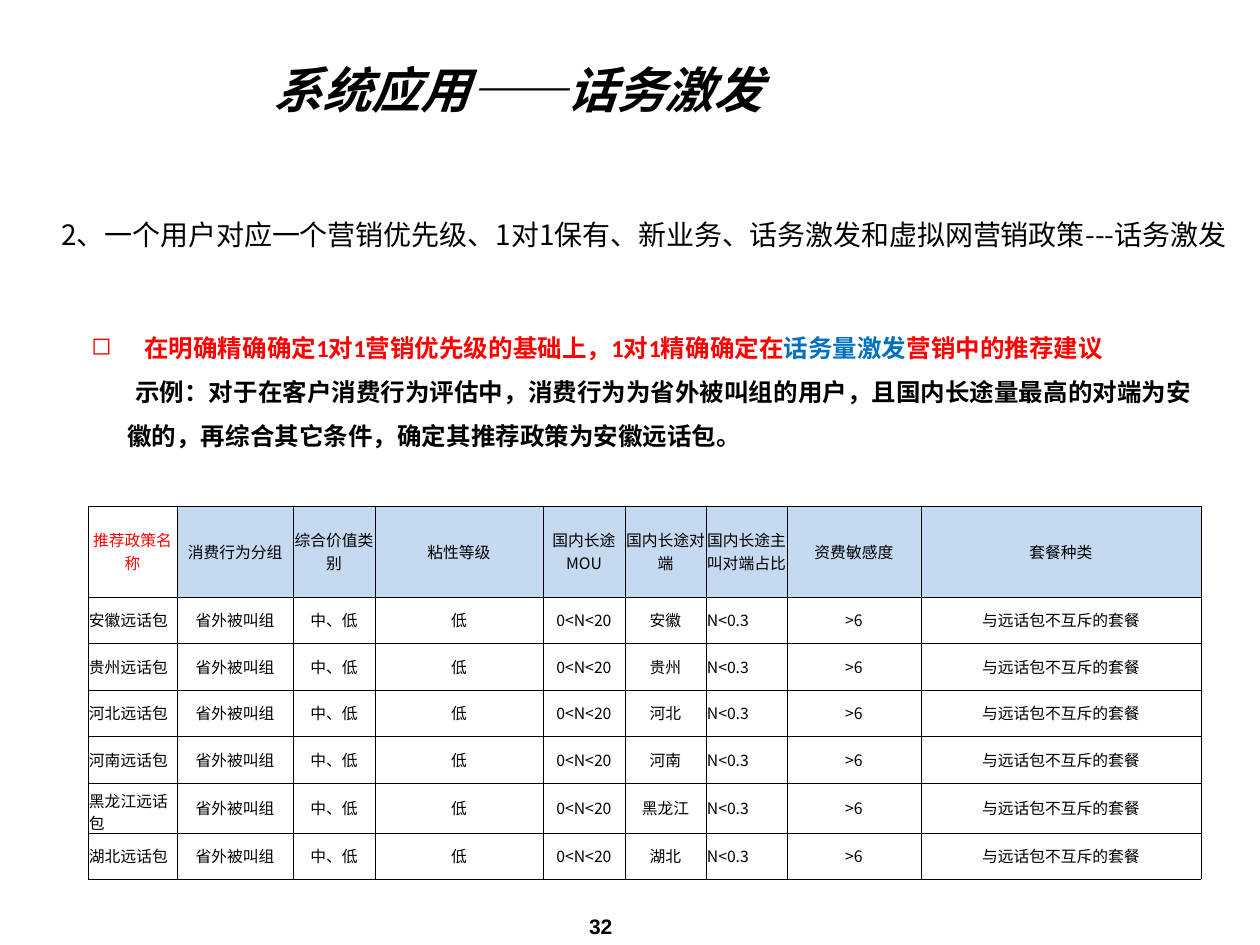
from dataclasses import dataclass

from lxml.etree import SubElement
from pptx import Presentation
from pptx.dml.color import RGBColor
from pptx.enum.text import MSO_ANCHOR as Anchor, MSO_AUTO_SIZE as AutoSize, PP_ALIGN as Align
from pptx.oxml.ns import qn
from pptx.util import Pt

PX = 914400 / 126
CJK_FONT = "Noto Sans CJK SC"
BLACK, RED, BLUE, HEADER_FILL = "000000", "FF0000", "0070C0", "C5D9F1"

COLUMN_WIDTHS = [89, 116, 82, 168, 82, 81, 81, 134, 280]
ROW_HEIGHTS = [91, 46, 47, 46, 47, 46, 46]
LEFT_ALIGNED_COLUMNS = (0, 6)
HEADERS = ["推荐政策名称", "消费行为分组", "综合价值类别", "粘性等级", "国内长途MOU",
           "国内长途对端", "国内长途主叫对端占比", "资费敏感度", "套餐种类"]
PROVINCES = ["安徽", "贵州", "河北", "河南", "黑龙江", "湖北"]


@dataclass
class Box:
    left: int
    top: int
    width: int
    height: int

    def emu(self) -> list[int]:
        return [px(side) for side in (self.left, self.top, self.width, self.height)]


@dataclass
class Style:
    size: float
    font: str = CJK_FONT
    bold: bool = False
    italic: bool = False


@dataclass
class Piece:
    text: str
    color: str = BLACK


def px(length: int) -> int:
    return round(length * PX)


def rgb(value: str) -> RGBColor:
    return RGBColor.from_string(value)


def format_run(run, style: Style, color: str = BLACK) -> None:
    font = run.font
    font.size, font.bold, font.italic = Pt(style.size), style.bold, style.italic
    font.color.rgb = rgb(color)
    font.name = style.font
    SubElement(font._element, qn("a:ea"), typeface=CJK_FONT)


def add_pieces(paragraph, pieces: list[Piece], style: Style) -> None:
    for piece in pieces:
        run = paragraph.add_run()
        run.text = piece.text
        format_run(run, style, piece.color)


def set_indent(paragraph, margin: int, first_line: int) -> None:
    properties = paragraph._p.get_or_add_pPr()
    properties.set("marL", str(px(margin)))
    properties.set("indent", str(px(first_line)))


def add_bullet(paragraph, character: str, color: str) -> None:
    properties = paragraph._p.get_or_add_pPr()
    bullet_color = SubElement(properties, qn("a:buClr"))
    SubElement(bullet_color, qn("a:srgbClr"), val=color)
    SubElement(properties, qn("a:buChar"), char=character)


def add_text_box(slide, box: Box):
    frame = slide.shapes.add_textbox(*box.emu()).text_frame
    frame.word_wrap = True
    return frame


def add_title(slide) -> None:
    title = slide.shapes.title
    title.left, title.top, title.width, title.height = Box(261, 49, 999, 80).emu()
    frame = title.text_frame
    frame.auto_size = AutoSize.NONE
    frame.vertical_anchor = Anchor.MIDDLE
    paragraph = frame.paragraphs[0]
    paragraph.alignment = Align.LEFT
    add_pieces(paragraph, [Piece("系统应用——话务激发")], Style(28, bold=True, italic=True))


def add_heading(slide) -> None:
    paragraph = add_text_box(slide, Box(49, 211, 1211, 80)).paragraphs[0]
    set_indent(paragraph, 37, -37)
    paragraph.line_spacing = Pt(19.6)
    text = "2、一个用户对应一个营销优先级、1对1保有、新业务、话务激发和虚拟网营销政策---话务激发"
    add_pieces(paragraph, [Piece(text)], Style(16))


def add_recommendation(slide) -> None:
    frame = add_text_box(slide, Box(79, 312, 1132, 189))
    style = Style(14, font="Calibri", bold=True)
    advice, example = frame.paragraphs[0], frame.add_paragraph()
    for paragraph in (advice, example):
        paragraph.line_spacing = Pt(25.2)

    set_indent(advice, 53, -53)
    add_bullet(advice, "◻", RED)
    add_pieces(advice, [Piece("在明确精确确定1对1营销优先级的基础上，1对1精确确定在", RED),
                        Piece("话务量激发", BLUE),
                        Piece("营销中的推荐建议", RED)], style)

    set_indent(example, 36, 8)
    add_pieces(example, [Piece("示例：对于在客户消费行为评估中，消费行为为省外被叫组的用户，且国内长途量最高的"
                               "对端为安徽的，再综合其它条件，确定其推荐政策为安徽远话包。")], style)


def add_borders(cell) -> None:
    properties = cell._tc.get_or_add_tcPr()
    for side in ("lnL", "lnR", "lnT", "lnB"):
        line = SubElement(properties, qn(f"a:{side}"), w=str(Pt(0.23)))
        fill = SubElement(line, qn("a:solidFill"))
        SubElement(fill, qn("a:srgbClr"), val=BLACK)


def fill_cell(cell, text: str, align: Align, color: str, fill: str | None) -> None:
    cell.margin_left = cell.margin_right = px(1)
    cell.margin_top = cell.margin_bottom = px(6)
    cell.vertical_anchor = Anchor.MIDDLE
    add_borders(cell)
    if fill:
        cell.fill.solid()
        cell.fill.fore_color.rgb = rgb(fill)
    else:
        cell.fill.background()
    paragraph = cell.text_frame.paragraphs[0]
    paragraph.alignment = align
    add_pieces(paragraph, [Piece(text, color)], Style(9))


def add_policy_table(slide) -> None:
    rows = [HEADERS] + [[f"{province}远话包", "省外被叫组", "中、低", "低", "0<N<20", province,
                         "N<0.3", ">6", "与远话包不互斥的套餐"] for province in PROVINCES]
    box = Box(88, 506, sum(COLUMN_WIDTHS), sum(ROW_HEIGHTS))
    table = slide.shapes.add_table(len(rows), len(HEADERS), *box.emu()).table
    for column, width in zip(table.columns, COLUMN_WIDTHS):
        column.width = px(width)
    for row, height in zip(table.rows, ROW_HEIGHTS):
        row.height = px(height)
    for r, values in enumerate(rows):
        for c, text in enumerate(values):
            header = r == 0
            align = Align.LEFT if not header and c in LEFT_ALIGNED_COLUMNS else Align.CENTER
            color = RED if header and c == 0 else BLACK
            fill = HEADER_FILL if header and c > 0 else None
            fill_cell(table.cell(r, c), text, align, color, fill)


def add_page_number(slide) -> None:
    frame = add_text_box(slide, Box(573, 907, 110, 38))
    frame.margin_left = px(16)
    add_pieces(frame.paragraphs[0], [Piece("32", "040000")], Style(12, font="Arial", bold=True))


def main() -> None:
    presentation = Presentation()
    presentation.slide_width, presentation.slide_height = px(1260), px(945)
    slide = presentation.slides.add_slide(presentation.slide_layouts[5])
    add_page_number(slide)
    add_policy_table(slide)
    add_recommendation(slide)
    add_heading(slide)
    add_title(slide)
    presentation.save("out.pptx")


if __name__ == "__main__":
    main()
